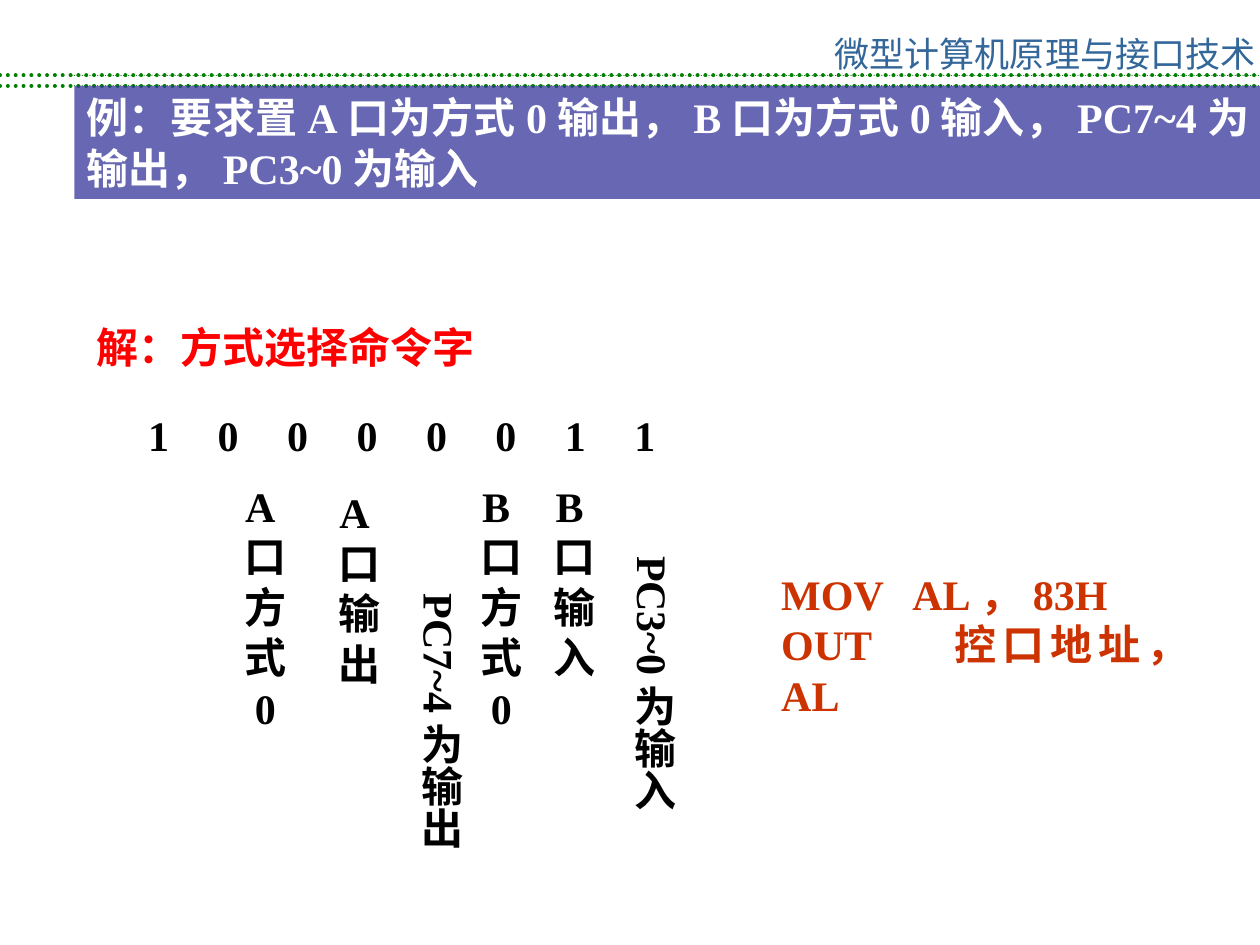
"""Builds the slide on choosing the mode control word of a parallel port."""
from dataclasses import dataclass

from lxml.etree import SubElement
from pptx import Presentation
from pptx.dml.color import RGBColor
from pptx.enum.dml import MSO_LINE
from pptx.enum.shapes import MSO_CONNECTOR, MSO_SHAPE
from pptx.enum.text import MSO_ANCHOR, MSO_AUTO_SIZE, PP_ALIGN
from pptx.oxml.ns import qn
from pptx.util import Cm, Pt


@dataclass(frozen=True)
class Theme:
    latin: str = "Times New Roman"
    cjk: str = "Noto Sans CJK SC"
    body_size: float = 24
    header_size: float = 20
    ink: str = "000000"
    paper: str = "FFFFFF"
    header: str = "336699"
    rule: str = "008000"
    banner: str = "333399"
    banner_alpha: int = 74000
    answer: str = "FF0000"
    code: str = "CC3300"


THEME = Theme()


def write(frame, wording, color, align, size=THEME.body_size, latin=THEME.latin, bold=True):
    frame.word_wrap = True
    frame.vertical_anchor = MSO_ANCHOR.TOP
    frame.text = wording
    for paragraph in frame.paragraphs:
        paragraph.alignment = align
        for run in paragraph.runs:
            run.font.size = Pt(size)
            run.font.bold = bold
            run.font.name = latin
            run.font.color.rgb = RGBColor.from_string(color)
            SubElement(run.font._element, qn("a:ea"), typeface=THEME.cjk)


def add_label(slide, box, wording, color=THEME.ink, align=PP_ALIGN.JUSTIFY, **style):
    frame = slide.shapes.add_textbox(*map(Cm, box)).text_frame
    write(frame, wording, color, align, **style)
    frame.auto_size = MSO_AUTO_SIZE.SHAPE_TO_FIT_TEXT
    return frame


def add_block(slide, box, wording, color, align):
    block = slide.shapes.add_shape(MSO_SHAPE.RECTANGLE, *map(Cm, box))
    block.shadow.inherit = False
    block.fill.background()
    block.line.fill.background()
    write(block.text_frame, wording, color, align)
    return block


def add_rule(slide, left, top, weight, dash):
    rule = slide.shapes.add_connector(
        MSO_CONNECTOR.STRAIGHT, Cm(left), Cm(top), Cm(25.4), Cm(top))
    rule.line.color.rgb = RGBColor.from_string(THEME.rule)
    rule.line.width = Pt(weight)
    rule.line.dash_style = dash
    rule._element.spPr.find(qn("a:ln")).set("cap", "rnd")
    SubElement(rule._element.spPr, qn("a:effectLst"))


def add_header(slide):
    for top, inset in ((1.73, 1.5), (1.52, 1.45)):
        add_rule(slide, inset, top, 0.75, MSO_LINE.ROUND_DOT)
        add_rule(slide, 0, top, 2.25, MSO_LINE.ROUND_DOT)
    course = add_label(slide, (17.5, 0.53, 7.14, 0.61), "微型计算机原理与接口技术",
                       THEME.header, PP_ALIGN.CENTER,
                       size=THEME.header_size, latin=THEME.cjk, bold=False)
    course.word_wrap = False
    course.auto_size = MSO_AUTO_SIZE.NONE


def add_question(slide):
    banner = add_block(slide, (1.5, 1.73, 23.9, 2.28),
                       "例：要求置A口为方式0输出，B口为方式0输入，PC7~4为输出，PC3~0为输入",
                       THEME.paper, PP_ALIGN.JUSTIFY)
    banner.text_frame.margin_right = Cm(0.22)
    banner.fill.solid()
    banner.fill.fore_color.rgb = RGBColor.from_string(THEME.banner)
    tint = banner._element.spPr.find(qn("a:solidFill"))[0]
    SubElement(tint, qn("a:alpha"), val=str(THEME.banner_alpha))


def add_control_word(slide, bits):
    left, width = 2.5, 1.4
    for position, bit in enumerate(bits):
        cell = add_block(slide, (left + position * width, 8.13, width, 1.27), bit,
                         THEME.ink, PP_ALIGN.CENTER)
        cell.line.color.rgb = RGBColor.from_string(THEME.paper)
        cell.line.width = Pt(0.75)


def add_bit_meanings(slide):
    stacked = (
        ((4.5, 9.56, 1.7, 5.33), "A口\n方\n式\n0"),
        ((6.4, 9.69, 1.7, 4.32), "A口\n输出"),
        ((9.37, 9.56, 1.47, 5.33), "B口\n方\n式\n0"),
        ((10.85, 9.56, 1.47, 4.32), "B口\n输入"),
    )
    for box, meaning in stacked:
        add_label(slide, box, meaning, align=PP_ALIGN.CENTER)
    turned = (
        ((8, 11.72, 1.52, 5.85), "PC7~4为输出"),
        ((12.3, 10.96, 1.52, 5.85), "PC3~0为输入"),
    )
    for box, meaning in turned:
        frame = add_label(slide, box, meaning, align=PP_ALIGN.LEFT)
        frame.auto_size = MSO_AUTO_SIZE.NONE
        frame.margin_left = frame.margin_right = Cm(0.13)
        frame.margin_top = frame.margin_bottom = Cm(0.25)
        frame._txBody.bodyPr.set("vert", "eaVert")


def main():
    deck = Presentation()
    deck.slide_width, deck.slide_height = Cm(25.4), Cm(19.05)
    slide = deck.slides.add_slide(deck.slide_layouts[6])
    add_header(slide)
    add_question(slide)
    add_label(slide, (15.5, 11.33, 8.92, 3.3), "MOV   AL，83H\nOUT    控口地址，AL", THEME.code)
    add_label(slide, (1.7, 6.35, 14.6, 1.27), "解：方式选择命令字", THEME.answer)
    add_bit_meanings(slide)
    add_control_word(slide, "10000011")
    deck.save("out.pptx")


if __name__ == "__main__":
    main()
